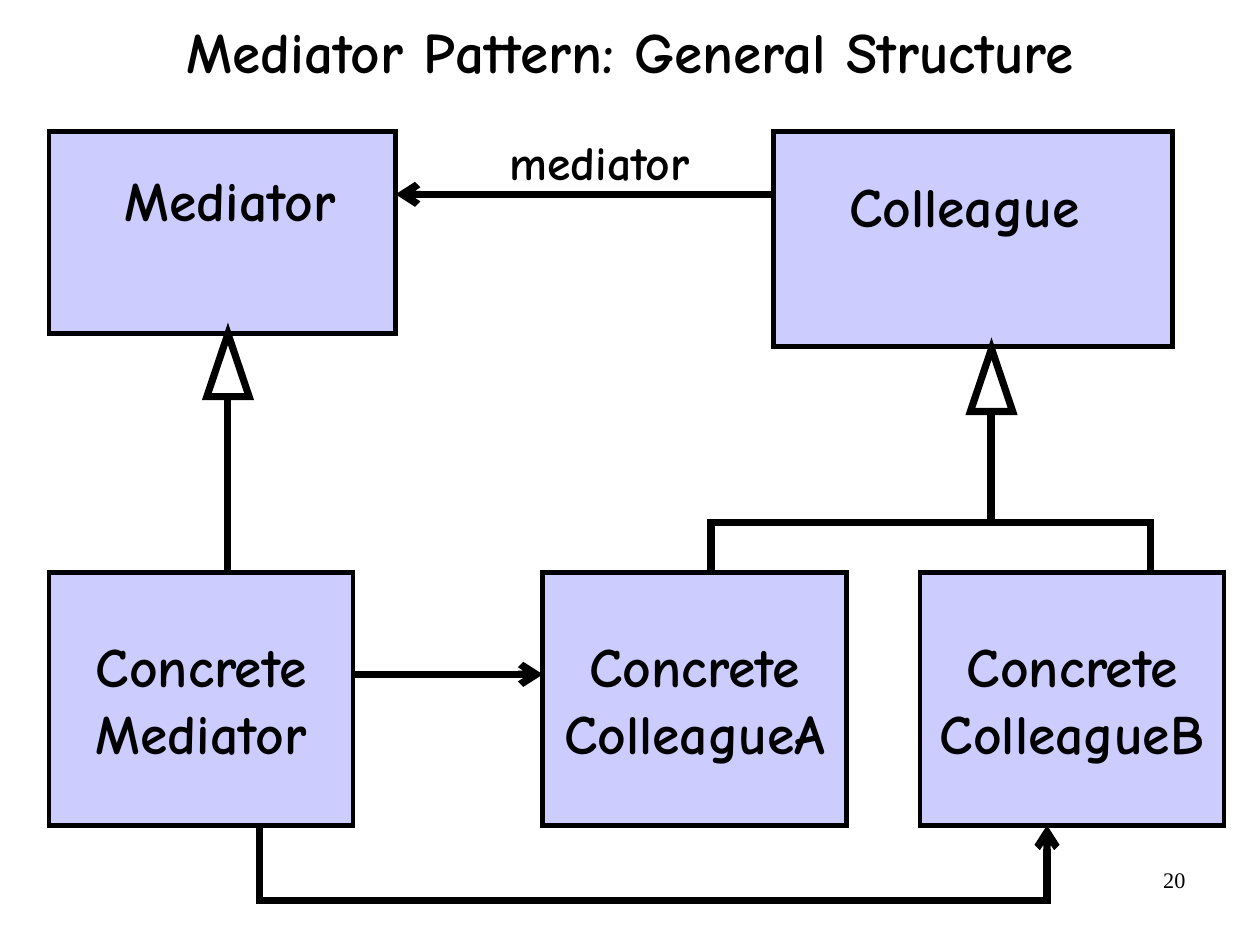
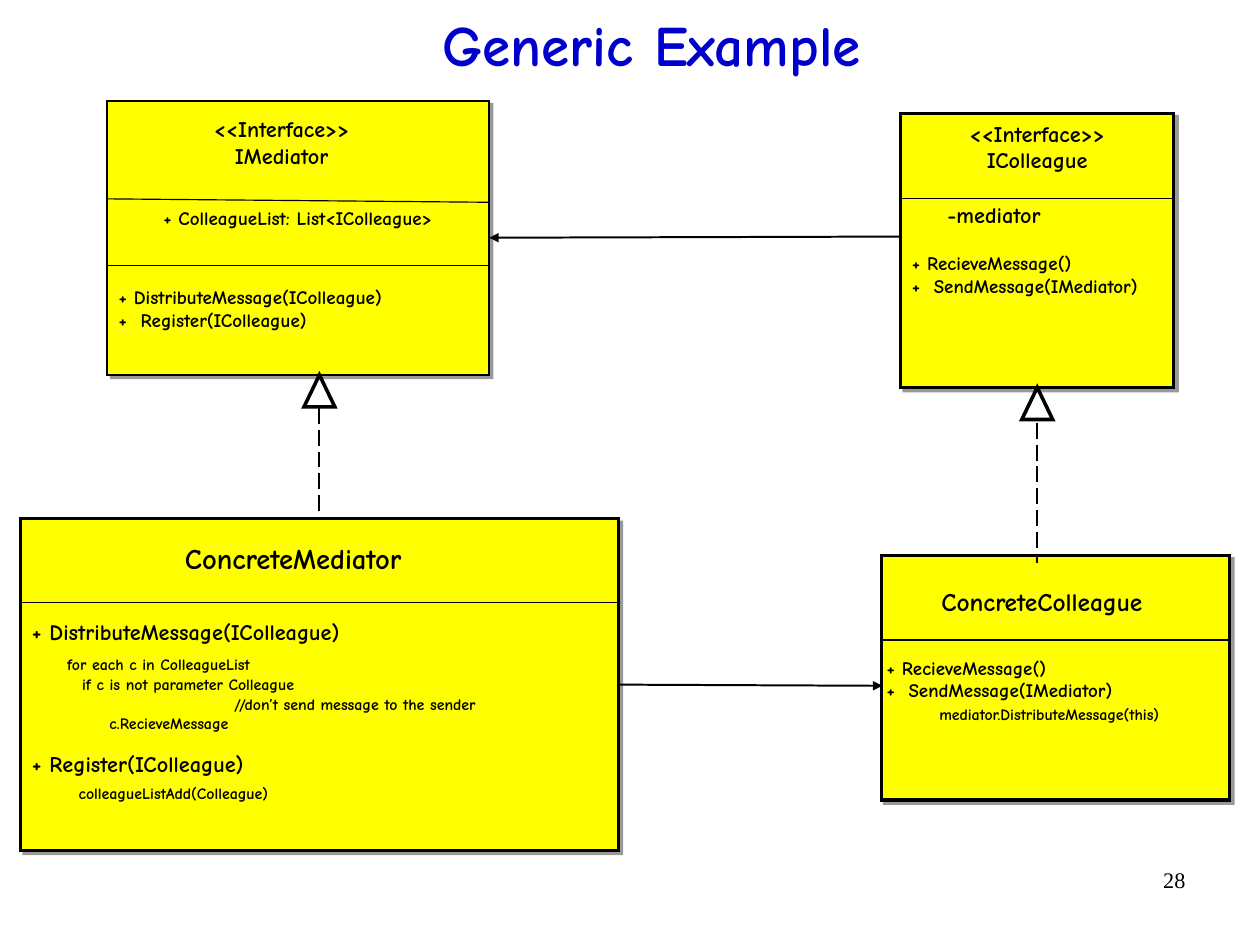
from lxml.etree import SubElement
from pptx import Presentation
from pptx.dml.color import RGBColor
from pptx.enum.dml import MSO_LINE
from pptx.enum.shapes import MSO_CONNECTOR, MSO_SHAPE
from pptx.enum.text import MSO_ANCHOR, MSO_AUTO_SIZE, PP_ALIGN
from pptx.oxml.ns import qn
from pptx.util import Cm, Inches, Pt

BLACK = RGBColor(0x00, 0x00, 0x00)
BLUE = RGBColor(0x00, 0x00, 0xCC)
LAVENDER = RGBColor(0xCC, 0xCC, 0xFF)
YELLOW = RGBColor(0xFF, 0xFF, 0x00)
FONT = "Comic Neue"
NUMBER_FONT = "Times New Roman"
TITLE_ONLY = 5
HEAVY = 4.5
THIN = 0.75


class Deck:
    """Hold the presentation, its style and the current slide."""

    def __init__(self):
        self.presentation = Presentation()
        self.presentation.slide_width = Cm(28)
        self.presentation.slide_height = Cm(21)
        self.presentation.element.find(qn("p:sldSz")).attrib.pop("type", None)
        self.slide = None

    def add_slide(self, title, number, frame, color=BLACK):
        """Start a slide with its title and number."""
        layout = self.presentation.slide_layouts[TITLE_ONLY]
        self.slide = self.presentation.slides.add_slide(layout)
        shape = self.slide.shapes.title
        shape.left, shape.top, shape.width, shape.height = map(Inches, frame)
        self.fill_frame(shape, [title], 36, PP_ALIGN.CENTER, (0, 0, 0, 0), color)
        shape.text_frame.vertical_anchor = MSO_ANCHOR.MIDDLE
        shape.text_frame.paragraphs[0].line_spacing = 0.88
        number_box = self.text((7.9, 7.53, 2.57, 0.57), [number], 14, PP_ALIGN.RIGHT)
        font = number_box.text_frame.paragraphs[0].font
        font.name, font.bold = NUMBER_FONT, False

    def fill_frame(self, shape, lines, size, align, insets, color=BLACK):
        """Write lines, each a string or (text, size, indent, space before)."""
        frame = shape.text_frame
        frame.word_wrap = True
        frame.auto_size = MSO_AUTO_SIZE.NONE
        (frame.margin_left, frame.margin_top,
         frame.margin_right, frame.margin_bottom) = map(Inches, insets)
        for index, line in enumerate(lines):
            text, points, indent, space = (line, size, 0, 0) if isinstance(line, str) else line
            paragraph = frame.paragraphs[0] if index == 0 else frame.add_paragraph()
            paragraph.text = text
            paragraph.alignment = align
            paragraph.space_before = Pt(space)
            font = paragraph.font
            font.name, font.size, font.bold = FONT, Pt(points), True
            font.color.rgb = color
            properties = paragraph._p.get_or_add_pPr()
            properties.set("marL", str(Inches(indent)))
            properties.set("indent", "0")

    def text(self, frame, lines, size, align=PP_ALIGN.LEFT):
        """Add a text box."""
        box = self.slide.shapes.add_textbox(*map(Inches, frame))
        self.fill_frame(box, lines, size, align, (0.1, 0.05, 0.1, 0.05))
        return box

    def outline(self, shape, width, arrow=None, dashed=False):
        """Give a shape or line its black stroke with sharp corners."""
        shape.line.color.rgb = BLACK
        shape.line.width = Pt(width)
        if dashed:
            shape.line.dash_style = MSO_LINE.LONG_DASH
        stroke = shape.element.spPr.find(qn("a:ln"))
        SubElement(stroke, qn("a:miter"), lim="800000")
        if arrow:
            SubElement(stroke, qn("a:tailEnd"), type=arrow)

    def box(self, frame, fill, width):
        """Add a filled rectangle."""
        shape = self.slide.shapes.add_shape(MSO_SHAPE.RECTANGLE, *map(Inches, frame))
        shape.fill.solid()
        shape.fill.fore_color.rgb = fill
        self.outline(shape, width)
        shape.shadow.inherit = False
        return shape

    def role_box(self, frame, lines, align=PP_ALIGN.CENTER, insets=(0.05, 0.06, 0.05, 0.06)):
        """Add a lavender box with a large name."""
        shape = self.box(frame, LAVENDER, 3)
        self.fill_frame(shape, lines, 35, align, insets)
        shape.text_frame.vertical_anchor = MSO_ANCHOR.MIDDLE

    def class_box(self, frame, width=2):
        """Add a yellow class box with a hard shadow."""
        shape = self.box(frame, YELLOW, width)
        effects = shape.element.spPr.find(qn("a:effectLst"))
        shadow = SubElement(effects, qn("a:outerShdw"), blurRad="0",
                            dist=str(Pt(3)), dir="2700000", algn="tl", rotWithShape="0")
        color = SubElement(shadow, qn("a:srgbClr"), val=str(BLACK))
        SubElement(color, qn("a:alpha"), val="40000")

    def line(self, start, end, width, arrow=None, dashed=False):
        """Add a straight line, with an arrowhead at its end if asked."""
        connector = self.slide.shapes.add_connector(
            MSO_CONNECTOR.STRAIGHT, *map(Inches, start + end))
        self.outline(connector, width, arrow, dashed)
        SubElement(connector.element.spPr, qn("a:effectLst"))

    def bent_line(self, points, arrow=None):
        """Add an open line with corners."""
        corners = [tuple(map(Inches, point)) for point in points]
        builder = self.slide.shapes.build_freeform(*corners[0], scale=1.0)
        builder.add_line_segments(corners[1:], close=False)
        shape = builder.convert_to_shape()
        shape.fill.background()
        self.outline(shape, HEAVY, arrow)
        shape.shadow.inherit = False

    def inheritance(self, frame, width):
        """Add the hollow triangle of a generalisation."""
        shape = self.slide.shapes.add_shape(
            MSO_SHAPE.ISOSCELES_TRIANGLE, *map(Inches, frame))
        shape.fill.background()
        self.outline(shape, width)
        shape.shadow.inherit = False


def build_structure(deck):
    """Build the general structure diagram."""
    deck.add_slide("Mediator Pattern: General Structure", "20", (0, -0.2, 11.02, 1.37))
    for frame, name in (((0.43, 1.15, 3.03, 1.77), "Mediator"),
                        ((6.77, 1.15, 3.49, 1.88), "Colleague")):
        deck.role_box(frame, [name], PP_ALIGN.LEFT, (0.66, 0.06, 0.11, 0.65))
    deck.line((6.77, 1.7), (3.46, 1.7), HEAVY, "arrow")
    deck.text((4.36, 1.11, 1.81, 0.61), ["mediator"], 30)
    for left, name in ((0.43, "Mediator"), (4.75, "ColleagueA"), (8.05, "ColleagueB")):
        deck.role_box((left, 5.01, 2.66, 2.21), ["Concrete", name])
    for center, top, end in ((1.99, 2.92, 5.01), (8.67, 3.05, 4.57)):
        deck.inheritance((center - 0.18, top, 0.37, 0.55), HEAVY)
        deck.line((center, top + 0.55), (center, end), HEAVY)
    for foot in (6.22, 10.07):
        deck.bent_line([(8.51, 4.57), (foot, 4.57), (foot, 5.01)])
    deck.line((3.09, 5.9), (4.75, 5.9), HEAVY, "arrow")
    deck.bent_line([(2.27, 7.22), (2.27, 7.88), (9.16, 7.88), (9.16, 7.22)], "arrow")


def build_example(deck):
    """Build the generic class diagram."""
    deck.add_slide("Generic Example", "28", (2.93, 0.05, 5.54, 0.75), BLUE)
    deck.class_box((0.94, 0.88, 3.34, 2.4), 1.25)
    for frame in ((7.88, 0.99, 2.39, 2.4), (0.18, 4.54, 5.23, 2.9), (7.71, 4.86, 3.05, 2.14)):
        deck.class_box(frame)
    for start, end in (((0.94, 1.74), (4.28, 1.77)), ((0.94, 2.32), (4.28, 2.32)),
                       ((7.88, 1.74), (10.27, 1.74)), ((0.18, 5.27), (5.41, 5.27)),
                       ((7.72, 5.6), (10.76, 5.6))):
        deck.line(start, end, THIN)

    for left, top, name in ((1.48, 0.96, "IMediator"), (8.09, 1, "IColleague")):
        deck.text((left, top, 1.97, 0.57), ["<<Interface>>", name], 14, PP_ALIGN.CENTER)
    deck.text((1.29, 4.68, 2.55, 0.4), ["ConcreteMediator"], 18, PP_ALIGN.CENTER)
    deck.text((7.92, 5.08, 2.39, 0.37), ["ConcreteColleague"], 16, PP_ALIGN.CENTER)

    deck.text((1.33, 1.76, 2.75, 0.3), ["+ ColleagueList: List<IColleague>"], 12)
    deck.text((0.94, 2.45, 3.69, 0.5),
              ["+ DistributeMessage(IColleague)", "+  Register(IColleague)"], 12)
    deck.text((8.19, 1.71, 1.37, 0.34), ["-mediator"], 14)
    messages = ["+ RecieveMessage()", "+  SendMessage(IMediator)"]
    deck.text((7.88, 2.15, 2.59, 0.5), messages, 12)
    deck.text((7.66, 5.69, 3.1, 0.7),
              messages + [("mediator.DistributeMessage(this)", 10, 0.46, 2)], 12)
    deck.text((0.18, 5.36, 5.23, 1.9), [
        "+ DistributeMessage(IColleague)",
        ("for each c in ColleagueList", 10, 0.31, 6),
        ("if c is not parameter Colleague", 10, 0.44, 1),
        ("//don’t send message to the sender", 10, 1.77, 0),
        ("c.RecieveMessage", 10, 0.68, 0),
        ("+ Register(IColleague)", 14, 0, 11),
        ("colleagueListAdd(Colleague)", 10, 0.41, 4.5),
    ], 14)

    deck.line((7.88, 2.07), (4.28, 2.08), 1.25, "triangle")
    deck.line((5.41, 5.99), (7.72, 6), 1.25, "triangle")
    for center, top, start, end in ((2.79, 3.28, 3.57, 4.54), (9.07, 3.39, 3.7, 4.93)):
        deck.inheritance((center - 0.13, top, 0.27, 0.28), 2.25)
        deck.line((center, start), (center, end), 1.25, dashed=True)


def main():
    """Build both slides and save them."""
    deck = Deck()
    build_structure(deck)
    build_example(deck)
    deck.presentation.save("out.pptx")


if __name__ == "__main__":
    main()
